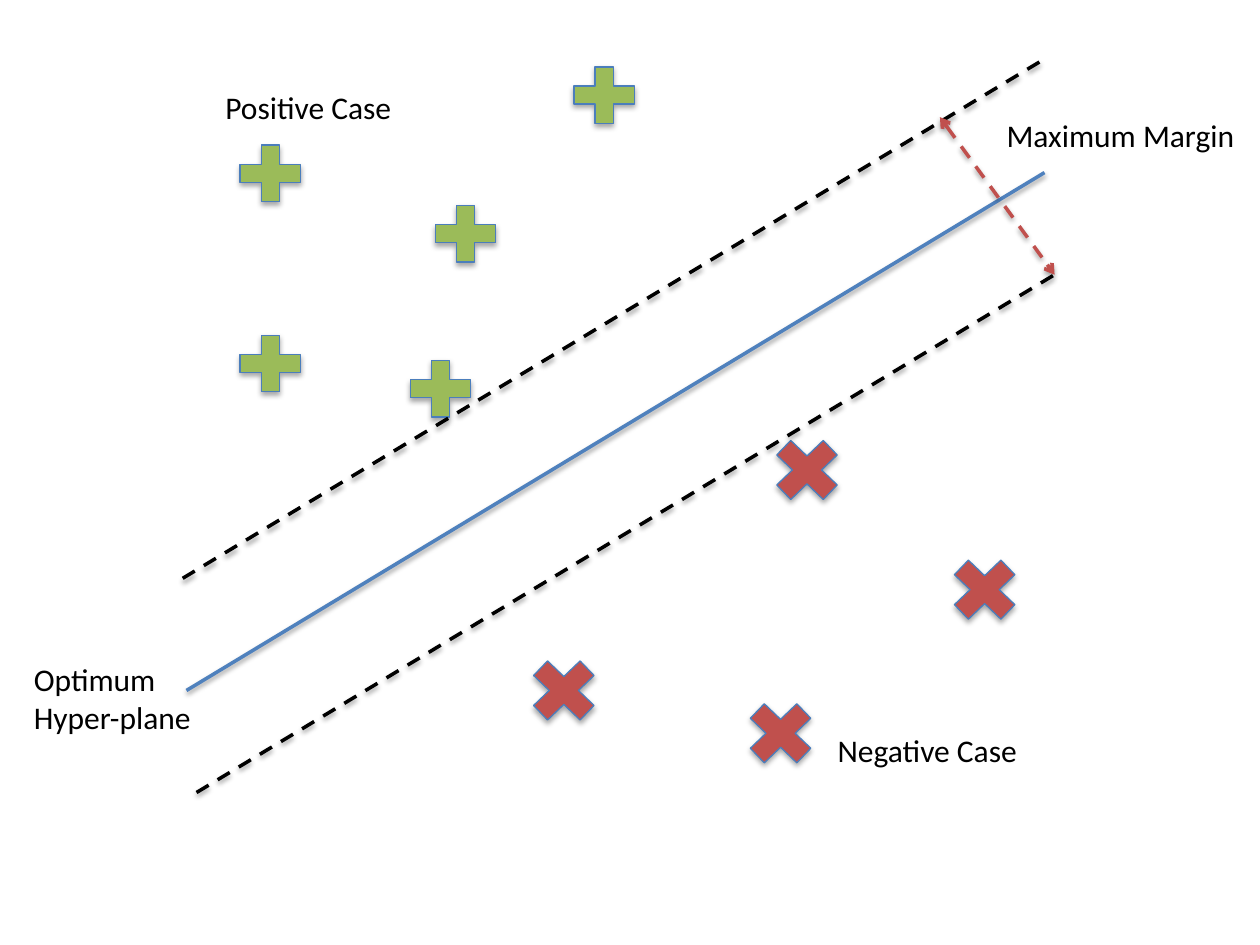
from lxml import etree
from pptx import Presentation
from pptx.dml.color import RGBColor
from pptx.enum.dml import MSO_LINE
from pptx.enum.shapes import MSO_CONNECTOR, MSO_SHAPE
from pptx.enum.text import MSO_AUTO_SIZE
from pptx.oxml.ns import qn
from pptx.util import Inches, Pt

STRAIGHT = MSO_CONNECTOR.STRAIGHT
PLUS = MSO_SHAPE.MATH_PLUS
CROSS = MSO_SHAPE.MATH_MULTIPLY
DASH = MSO_LINE.DASH
FIT_TEXT = MSO_AUTO_SIZE.SHAPE_TO_FIT_TEXT

BLACK = "000000"
BLUE = "4F81BD"
OUTLINE = "4B7EBC"
GREEN = "9BBB59"
RED = "C0504D"

PLUS_SIZE = (0.65, 0.61)
CROSS_SIZE = (0.71, 0.68)
POSITIVE_CASES = [(1.82, 1.07), (4.47, 0.45), (1.82, 2.58), (3.37, 1.55), (3.17, 2.78)]
NEGATIVE_CASES = [(5.84, 5.48), (4.12, 5.14), (6.05, 3.39), (7.46, 4.34)]
MARGIN_LINES = [((1.56, 6.29), (8.37, 2.18)), ((1.45, 4.59), (8.27, 0.48))]
LABELS = [
    ("Positive Case", 1.69, 0.65, 1.54, 0.4),
    ("Negative Case", 6.55, 5.75, 1.65, 0.4),
    ("Maximum Margin", 7.89, 0.87, 2.03, 0.4),
    ("Optimum\nHyper-plane", 0.17, 5.19, 1.47, 0.71),
]


def color(value):
    return RGBColor.from_string(value)


def add_shadow(shape, opacity, distance):
    properties = shape._element.spPr
    effects = properties.find(qn("a:effectLst"))
    if effects is None:
        effects = etree.SubElement(properties, qn("a:effectLst"))
    shadow = etree.SubElement(
        effects, qn("a:outerShdw"), blurRad=str(Pt(3.1)), dist=str(Pt(distance)),
        dir="5400000", rotWithShape="0")
    tint = etree.SubElement(shadow, qn("a:srgbClr"), val=BLACK)
    etree.SubElement(tint, qn("a:alpha"), val=str(opacity * 1000))


def add_line(slide, start, end, line_color, dash=None, arrows=False):
    points = [Inches(value) for value in (*start, *end)]
    connector = slide.shapes.add_connector(STRAIGHT, *points)
    connector.line.color.rgb = color(line_color)
    connector.line.width = Pt(2)
    if dash:
        connector.line.dash_style = dash
    if arrows:
        line = connector._element.spPr.find(qn("a:ln"))
        for tag in ("a:headEnd", "a:tailEnd"):
            etree.SubElement(line, qn(tag), type="arrow")
    add_shadow(connector, 38, 1.6)


def add_case(slide, kind, position, size, fill):
    bounds = [Inches(value) for value in (*position, *size)]
    shape = slide.shapes.add_shape(kind, *bounds)
    shape.shadow.inherit = False
    shape.fill.solid()
    shape.fill.fore_color.rgb = color(fill)
    shape.line.color.rgb = color(OUTLINE)
    shape.line.width = Pt(0.75)
    add_shadow(shape, 35, 1.8)


def add_label(slide, text, *bounds):
    box = slide.shapes.add_textbox(*[Inches(value) for value in bounds])
    frame = box.text_frame
    frame.text = text
    frame.word_wrap = False
    frame.auto_size = FIT_TEXT
    for paragraph in frame.paragraphs:
        for run in paragraph.runs:
            run.font.name = "Calibri"
            run.font.size = Pt(18)
            run.font.color.rgb = color(BLACK)


def main():
    presentation = Presentation()
    presentation.slide_width = Inches(10)
    presentation.slide_height = Inches(7.5)
    slide = presentation.slides.add_slide(presentation.slide_layouts[6])

    add_line(slide, (1.48, 5.48), (8.29, 1.37), BLUE)
    for position in POSITIVE_CASES:
        add_case(slide, PLUS, position, PLUS_SIZE, GREEN)
    for position in NEGATIVE_CASES:
        add_case(slide, CROSS, position, CROSS_SIZE, RED)
    for start, end in MARGIN_LINES:
        add_line(slide, start, end, BLACK, DASH)
    add_line(slide, (7.46, 0.93), (8.37, 2.18), RED, DASH, arrows=True)
    for label in LABELS:
        add_label(slide, *label)

    presentation.save("out.pptx")


main()
